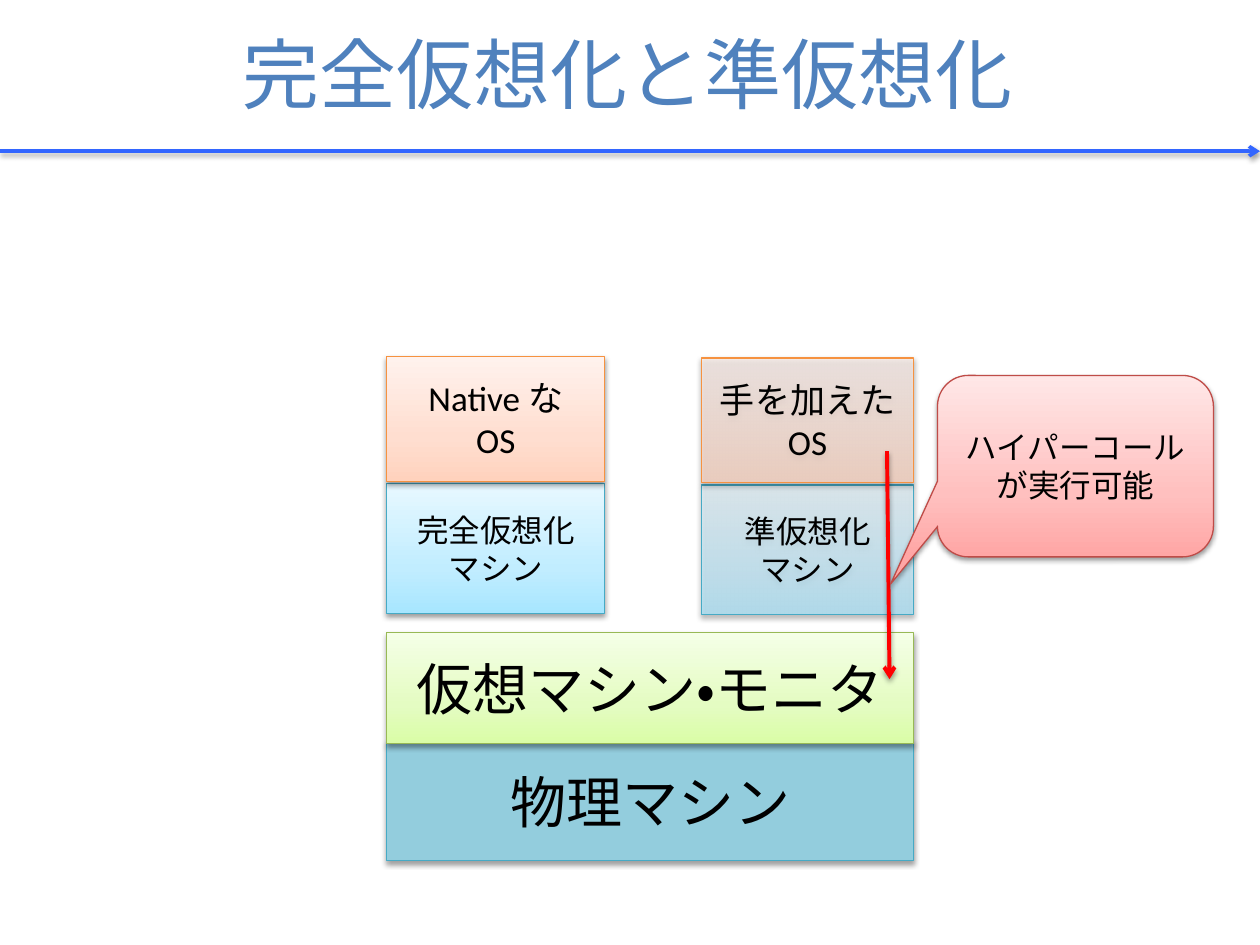
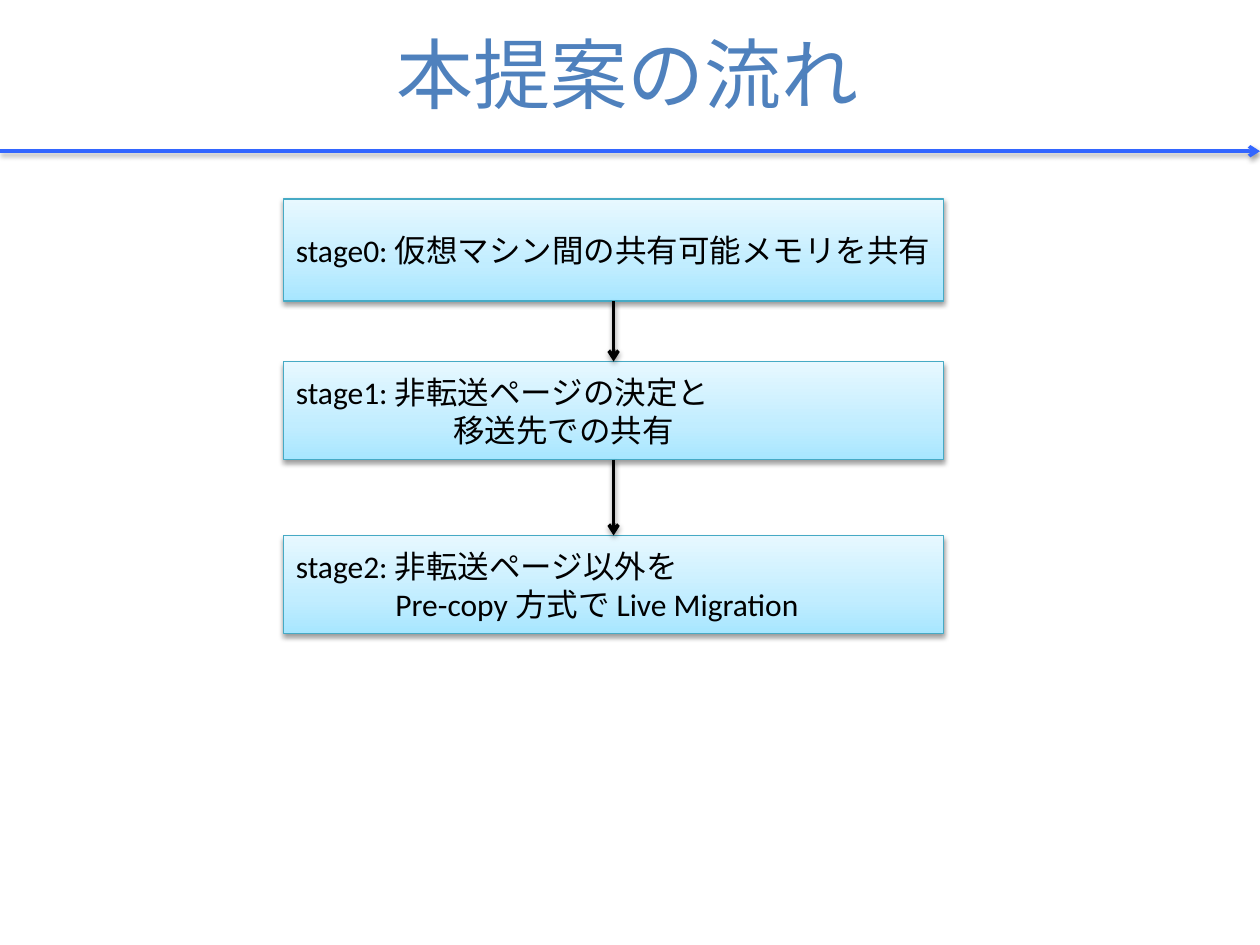
from dataclasses import dataclass
from pptx import Presentation, util as u
from pptx.dml import color as col
from pptx.enum import lang, shapes, text
from pptx.oxml import ns, xmlchemy as xml

KIND = shapes.MSO_SHAPE
ALIGN = text.PP_ALIGN


@dataclass(frozen=True)
class Theme:
    """Hold the colours, font and type sizes of the deck."""
    font: str = "Calibri"
    head: str = "4F81BD"
    rule: str = "3366FF"
    ink: str = "000000"
    call: str = "FF0000"
    host: tuple = (("93CDDD",), "46AAC5")
    blue: tuple = (("A7E6FF", "C1EDFF", "E7F8FF"), "46AAC5")
    peach: tuple = (("FFD2BD", "FFDED0", "FFF2ED"), "F69240")
    green: tuple = (("DAFDA7", "E4FCC2", "F5FFE7"), "98B955")
    pink: tuple = (("FFA6A5", "FFC0BF", "FFE7E7"), "BF4C48")
    title: int = 44
    big: int = 32
    mid: int = 20
    body: int = 18


T = Theme()


def rgb(code):
    """Turn a hex code into a colour."""
    return col.RGBColor.from_string(code)


def node(root, tag, **attrs):
    """Append a drawing element with the given attributes."""
    item = xml.OxmlElement(tag)
    for key, val in attrs.items():
        item.set(key, str(val))
    root.append(item)
    return item


def tint(root, code, alpha=100):
    """Append a colour with its opacity in percent."""
    item = node(root, "a:srgbClr", val=code)
    if alpha < 100:
        node(item, "a:alpha", val=alpha * 1000)


def shade(shape):
    """Give a shape or connector the soft drop shadow."""
    root = node(shape.element.spPr, "a:effectLst")
    drop = node(root, "a:outerShdw", blurRad=u.Pt(3.1), dist=u.Pt(1.6),
                dir=5400000, rotWithShape=0)
    tint(drop, T.ink, 38)


def write(shape, words, size=T.body, color=T.ink, align=ALIGN.CENTER, indent=0):
    """Fill a shape with formatted text, indenting all lines after the first."""
    frame = shape.text_frame
    frame.word_wrap = True
    frame.vertical_anchor = text.MSO_ANCHOR.MIDDLE
    frame.text = words
    for num, para in enumerate(frame.paragraphs):
        para.alignment = align
        if num and indent:
            props = para._p.get_or_add_pPr()
            props.set("marL", str(u.Inches(indent)))
        for run in para.runs:
            font = run.font
            font.name, font.size = T.font, u.Pt(size)
            font.color.rgb = rgb(color)
            font.language_id = lang.MSO_LANGUAGE_ID.JAPANESE


def block(slide, box, words, look, kind=KIND.RECTANGLE, alpha=100, **form):
    """Draw one filled, outlined and shadowed shape with text."""
    shape = slide.shapes.add_shape(kind, *map(u.Inches, box))
    stops, edge = look
    if len(stops) == 1:
        shape.fill.solid()
        shape.fill.fore_color.rgb = rgb(stops[0])
    else:
        shape.fill.gradient()
        shape.fill.gradient_angle = 90
        root = shape.element.spPr.find(".//" + ns.qn("a:gsLst"))
        for old in list(root):
            root.remove(old)
        for pos, code in zip((0, 35, 100), stops):
            tint(node(root, "a:gs", pos=pos * 1000), code, alpha)
    shape.line.color.rgb = rgb(edge)
    shape.line.width = u.Pt(0.75)
    shade(shape)
    write(shape, words, **form)
    return shape


def arrow(slide, start, end, color, width=2):
    """Draw a shadowed arrow between two points."""
    line = slide.shapes.add_connector(
        shapes.MSO_CONNECTOR.STRAIGHT, *map(u.Inches, (*start, *end)))
    line.line.color.rgb = rgb(color)
    line.line.width = u.Pt(width)
    node(line.element.spPr.find(ns.qn("a:ln")), "a:tailEnd", type="arrow")
    shade(line)


def page(deck, words):
    """Add a slide with the shared title and rule."""
    slide = deck.slides.add_slide(deck.slide_layouts[5])
    arrow(slide, (0, 1.2), (10, 1.2), T.rule)
    head = slide.shapes.title
    head.left, head.top, head.width, head.height = map(
        u.Inches, (0.18, 0, 9.61, 1.15))
    write(head, words, size=T.title, color=T.head)
    return slide


def guest(slide, box, system, machine, alpha=100):
    """Stack a guest system on its virtual machine."""
    left, top, width, high = box
    block(slide, (left, top + 1.01, width, high - 1.01), machine, T.blue,
          alpha=alpha)
    block(slide, (left, top, width, 0.99), system, T.peach, alpha=alpha,
          size=T.mid)


def stack(slide, box):
    """Draw the two guests, the monitor, the host and the hypercall."""
    left, top, width, high = box
    base = top + high - 0.94
    right = left + width
    block(slide, (left, base, width, 0.94), "物理マシン", T.host, size=T.big)
    guest(slide, (left, top, 1.73, 2.04), "Native な\nOS",
          "完全仮想化\vマシン")
    guest(slide, (right - 1.68, top + 0.01, 1.68, 2.04), "手を加えた\nOS",
          "準仮想化\vマシン", 65)
    block(slide, (left, base - 0.87, width, 0.88), "仮想マシン・モニタ",
          T.green, size=T.big)
    arrow(slide, (right - 0.21, top + 0.75), (right - 0.19, top + 2.56),
          T.call, 2.25)
    note = block(slide, (right + 0.19, top + 0.15, 2.19, 1.44),
                 "ハイパーコールが実行可能", T.pink,
                 KIND.ROUNDED_RECTANGULAR_CALLOUT)
    for num, val in enumerate((-0.67, 0.65, 0.17)):
        note.adjustments[num] = val


def flow(slide, box, steps):
    """Draw steps down the box and join them with arrows."""
    left, top, width = box
    mid = left + width / 2
    for down, high, words, indent in steps:
        block(slide, (left, top + down, width, high), words, T.blue,
              align=ALIGN.LEFT, indent=indent)
    for above, below in zip(steps, steps[1:]):
        arrow(slide, (mid, top + above[0] + above[1]),
              (mid, top + below[0]), T.ink)


def main():
    """Build and save the deck."""
    deck = Presentation()
    deck.slide_width, deck.slide_height = u.Inches(10), u.Inches(7.5)
    stack(page(deck, "完全仮想化と準仮想化"), (3.07, 2.83, 4.18, 4))
    flow(page(deck, "本提案の流れ"), (2.25, 1.58, 5.24), (
        (0, 0.81, "stage0: 仮想マシン間の共有可能メモリを共有", 0),
        (1.29, 0.78, "stage1: 非転送ページの決定と\n移送先での共有", 1.25),
        (2.67, 0.78, "stage2: 非転送ページ以外を\n"
         "Pre-copy 方式で Live Migration", 0.79)))
    deck.save("out.pptx")


main()
